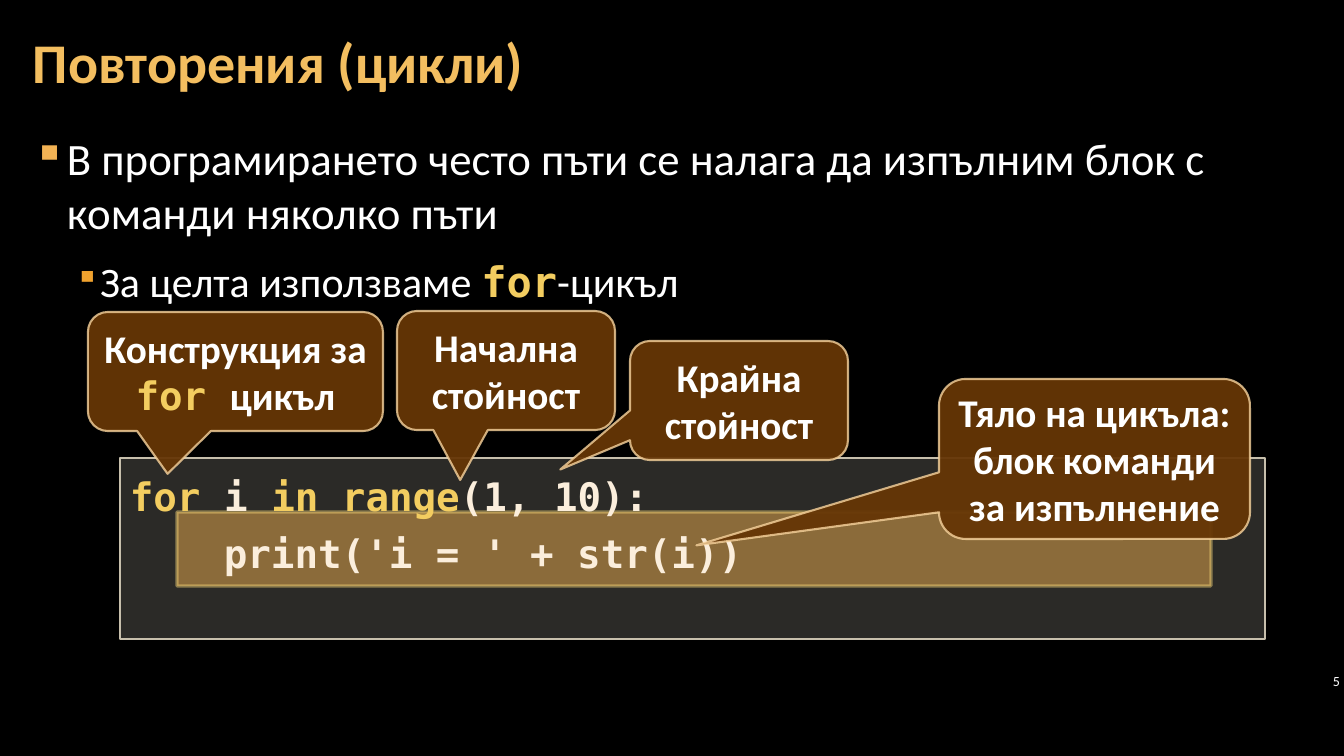
from lxml import etree
from pptx import Presentation
from pptx import util as u
from pptx.dml.color import RGBColor
from pptx.enum import shapes, text
from pptx.oxml import ns

PX = 914400 / 100.8

BLACK = RGBColor(0x00, 0x00, 0x00)
WHITE = RGBColor(0xFF, 0xFF, 0xFF)
TITLE_GOLD = RGBColor(0xF3, 0xBE, 0x60)
KEYWORD = RGBColor(0xF3, 0xCD, 0x60)
CODE_CREAM = RGBColor(0xFB, 0xEE, 0xDC)
CODE_FILL = RGBColor(0xD9, 0xD5, 0xC7)
CODE_EDGE = RGBColor(0xC7, 0xBF, 0xAC)
ORANGE = RGBColor(0xF0, 0xA2, 0x2E)
BULLET_GOLD = RGBColor(0xF2, 0xB2, 0x54)
BROWN = RGBColor(0x66, 0x36, 0x06)
CALLOUT_EDGE = RGBColor(0xF8, 0xD4, 0x9E)

SANS = "Calibri"
MONO = "DejaVu Sans Mono"


def px(length):
    return u.Emu(round(length * PX))


def place(box):
    return [px(length) for length in box]


def write(paragraph, pieces, size):
    """Add runs given as (wording, font, colour, bold)."""
    for wording, font, colour, bold in pieces:
        run = paragraph.add_run()
        run.text = wording
        run.font.name = font
        run.font.size = u.Pt(size)
        run.font.bold = bold
        run.font.color.rgb = colour


def add_text(slide, box, insets, anchor=text.MSO_ANCHOR.TOP):
    frame = slide.shapes.add_textbox(*place(box)).text_frame
    frame.word_wrap = True
    frame.vertical_anchor = anchor
    side, top = insets
    frame.margin_left = frame.margin_right = px(side)
    frame.margin_top = frame.margin_bottom = px(top)
    return frame


def add_panel(slide, preset, box, fill, edge):
    """Add a shape; fill is (colour, opacity), edge is (colour, opacity, points)."""
    panel = slide.shapes.add_shape(preset, *place(box))
    panel.shadow.inherit = False
    panel.fill.solid()
    panel.fill.fore_color.rgb = fill[0]
    panel.line.color.rgb = edge[0]
    panel.line.width = u.Pt(edge[2])
    colours = panel._element.spPr.iter(ns.qn("a:srgbClr"))
    for colour, opacity in zip(list(colours), (fill[1], edge[1])):
        etree.SubElement(colour, ns.qn("a:alpha")).set("val", str(opacity * 1000))
    return panel


def add_callout(slide, box, tip, pieces):
    """Add a speech bubble; tip is the pointer's offset from its centre."""
    bubble = add_panel(slide, shapes.MSO_SHAPE.ROUNDED_RECTANGULAR_CALLOUT, box,
                       (BROWN, 95), (CALLOUT_EDGE, 80, 1.5))
    bubble.adjustments[0], bubble.adjustments[1] = tip
    bubble.text_frame.word_wrap = True
    bubble.text_frame.vertical_anchor = text.MSO_ANCHOR.MIDDLE
    wording = bubble.text_frame.paragraphs[0]
    wording.alignment = text.PP_ALIGN.CENTER
    write(wording, pieces, 28)


def indent(paragraph, left, first=0):
    properties = paragraph._p.get_or_add_pPr()
    properties.set("marL", str(px(left)))
    properties.set("indent", str(px(first)))
    return properties


def add_bullet(paragraph, left, hanging, colour, percent):
    paragraph.space_before = paragraph.space_after = u.Pt(6)
    properties = indent(paragraph, left, -hanging)
    bullet_colour = etree.SubElement(properties, ns.qn("a:buClr"))
    etree.SubElement(bullet_colour, ns.qn("a:srgbClr")).set("val", str(colour))
    etree.SubElement(properties, ns.qn("a:buSzPct")).set("val", str(percent * 1000))
    etree.SubElement(properties, ns.qn("a:buChar")).set("char", "▪")


def add_body(slide):
    body = add_text(slide, (21, 127, 1301, 614), (12, 4))
    need = body.paragraphs[0]
    add_bullet(need, 34, 34, BULLET_GOLD, 100)
    write(need, [("В програмирането често пъти се налага да изпълним блок "
                  "с команди няколко пъти", SANS, WHITE, False)], 32)
    solution = body.add_paragraph()
    solution.level = 1
    add_bullet(solution, 67, 25, ORANGE, 80)
    write(solution, [("За целта използваме ", SANS, WHITE, False),
                     ("for", MONO, KEYWORD, True),
                     ("-цикъл", SANS, WHITE, False)], 30)


def add_code(slide):
    code = add_panel(slide, shapes.MSO_SHAPE.RECTANGLE, (120, 458, 1145, 181),
                     (CODE_FILL, 20), (CODE_EDGE, 100, 1)).text_frame
    code.word_wrap = True
    code.vertical_anchor = text.MSO_ANCHOR.TOP
    loop, command = code.paragraphs[0], code.add_paragraph()
    for line in (loop, command):
        line.alignment = text.PP_ALIGN.LEFT
        line.line_spacing = 1.2
    write(loop, [("for", MONO, KEYWORD, True),
                 (" i ", MONO, CODE_CREAM, True),
                 ("in range", MONO, KEYWORD, True),
                 ("(1, 10):", MONO, CODE_CREAM, True)], 28)
    indent(command, 94)
    write(command, [("print('i = ' + str(i))", MONO, CODE_CREAM, True)], 28)


def main():
    deck = Presentation()
    deck.slide_width, deck.slide_height = px(1344), px(756)
    slide = deck.slides.add_slide(deck.slide_layouts[6])
    slide.background.fill.solid()
    slide.background.fill.fore_color.rgb = BLACK

    add_panel(slide, shapes.MSO_SHAPE.RECTANGLE, (177, 512, 1034, 74),
              (ORANGE, 50), (KEYWORD, 50, 2.25))

    number = add_text(slide, (1296, 670, 48, 21), (4, 4),
                      text.MSO_ANCHOR.MIDDLE).paragraphs[0]
    number.alignment = text.PP_ALIGN.RIGHT
    write(number, [("5", SANS, WHITE, False)], 10)

    add_body(slide)

    title = add_text(slide, (21, 4, 1055, 122), (12, 4),
                     text.MSO_ANCHOR.MIDDLE).paragraphs[0]
    title.line_spacing = 0.9
    write(title, [("Повторения (цикли)", SANS, TITLE_GOLD, True)], 40)

    add_code(slide)

    add_callout(slide, (88, 312, 295, 119), (-0.23, 0.86),
                [("Конструкция за ", SANS, WHITE, True),
                 ("for ", MONO, KEYWORD, True),
                 ("цикъл", SANS, WHITE, True)])
    for box, tip, wording in (
        ((397, 311, 218, 119), (-0.21, 0.92), "Начална стойност"),
        ((630, 341, 218, 119), (-0.82, 0.58), "Крайна стойност"),
        ((939, 379, 311, 160), (-1.28, 0.54),
         "Тяло на цикъла: блок команди за изпълнение"),
    ):
        add_callout(slide, box, tip, [(wording, SANS, WHITE, True)])

    deck.save("out.pptx")


if __name__ == "__main__":
    main()
